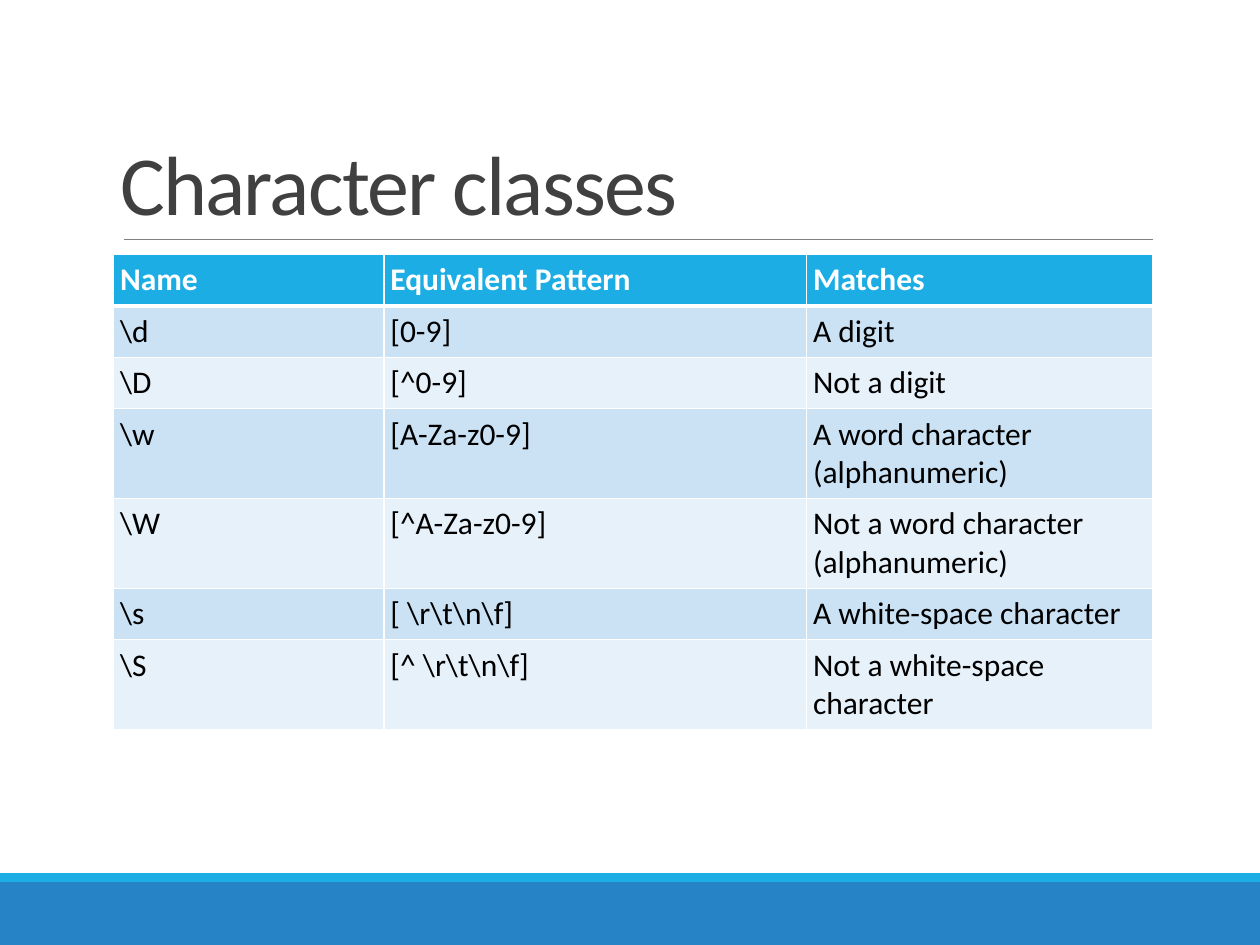
from lxml import etree
from pptx import Presentation
from pptx.dml.color import RGBColor
from pptx.enum.shapes import MSO_CONNECTOR, MSO_SHAPE
from pptx.enum.text import MSO_ANCHOR, MSO_AUTO_SIZE, PP_ALIGN
from pptx.oxml.ns import qn
from pptx.util import Cm, Pt

RECTANGLE = MSO_SHAPE.RECTANGLE
STRAIGHT = MSO_CONNECTOR.STRAIGHT
BOTTOM = MSO_ANCHOR.BOTTOM
LEFT = PP_ALIGN.LEFT
NO_AUTOFIT = MSO_AUTO_SIZE.NONE
TITLE_ONLY = 5

TITLE = "Character classes"
ROWS = [
    ("Name", "Equivalent Pattern", "Matches"),
    (r"\d", "[0-9]", "A digit"),
    (r"\D", "[^0-9]", "Not a digit"),
    (r"\w", "[A-Za-z0-9]", "A word character (alphanumeric)"),
    (r"\W", "[^A-Za-z0-9]", "Not a word character (alphanumeric)"),
    (r"\s", r"[ \r\t\n\f]", "A white-space character"),
    (r"\S", r"[^ \r\t\n\f]", "Not a white-space character"),
]
COLUMN_WIDTHS = (5.45, 8.52, 6.98)
ROW_HEIGHT = 1.03
SLIDE_WIDTH, SLIDE_HEIGHT = 25.4, 19.05
CONTENT_LEFT, CONTENT_WIDTH = 2.29, 20.95
TABLE_TOP = 5.13
RULE_TOP = 4.83
INSET = Cm(0.13)
FONT = "Calibri"
COLORS = {
    "header": "1CADE4", "footer": "2683C6", "rule": "808080",
    "title": "404040", "text": "000000", "white": "FFFFFF",
    "odd": "CBE2F5", "even": "E7F1FA",
}
FOOTER_BANDS = [("footer", 17.78, 1.27), ("header", 17.6, 0.18)]


def color(name):
    """Return the named colour."""
    return RGBColor.from_string(COLORS[name])


def style_font(paragraph, size, color_name, bold=False):
    """Set the font of a whole paragraph."""
    font = paragraph.font
    font.name, font.size, font.bold = FONT, Pt(size), bold
    font.color.rgb = color(color_name)


def set_insets(target):
    """Give a cell or text frame equal margins."""
    target.margin_left = target.margin_right = INSET
    target.margin_top = target.margin_bottom = INSET


def add_band(slide, color_name, top, height):
    """Add a full-width footer band."""
    band = slide.shapes.add_shape(
        RECTANGLE, 0, Cm(top), Cm(SLIDE_WIDTH), Cm(height))
    band.shadow.inherit = False
    band.fill.solid()
    band.fill.fore_color.rgb = color(color_name)
    band.line.fill.background()


def add_rule(slide):
    """Add the thin line below the title."""
    rule = slide.shapes.add_connector(
        STRAIGHT, Cm(2.49), Cm(RULE_TOP),
        Cm(CONTENT_LEFT + CONTENT_WIDTH), Cm(RULE_TOP))
    rule.line.color.rgb = color("rule")
    rule.line.width = Pt(0.5)
    etree.SubElement(rule._element.spPr, qn("a:effectLst"))


def format_title(slide):
    """Place and fill the title placeholder."""
    title = slide.shapes.title
    title.left, title.top = Cm(CONTENT_LEFT), Cm(0.79)
    title.width, title.height = Cm(CONTENT_WIDTH), Cm(4.04)
    frame = title.text_frame
    frame.text = TITLE
    frame.word_wrap = True
    frame.auto_size = NO_AUTOFIT
    frame.vertical_anchor = BOTTOM
    set_insets(frame)
    paragraph = frame.paragraphs[0]
    paragraph.alignment = LEFT
    paragraph.line_spacing = 0.85
    style_font(paragraph, 48, "title")
    paragraph.runs[0].font._element.set("spc", "-100")


def add_borders(cell, row_index):
    """Draw white cell borders, thicker below the header."""
    widths = {"L": 1, "R": 1,
              "T": 3 if row_index == 1 else 1,
              "B": 3 if row_index == 0 else 1}
    properties = cell._tc.get_or_add_tcPr()
    for side, width in widths.items():
        line = etree.SubElement(properties, qn(f"a:ln{side}"), w=str(Pt(width)))
        fill = etree.SubElement(line, qn("a:solidFill"))
        etree.SubElement(fill, qn("a:srgbClr"), val=COLORS["white"])


def fill_cell(cell, text, row_index):
    """Write and style one table cell."""
    is_header = row_index == 0
    cell.text = text
    set_insets(cell)
    style_font(cell.text_frame.paragraphs[0], 18,
               "white" if is_header else "text", is_header)
    add_borders(cell, row_index)
    cell.fill.solid()
    band = "odd" if row_index % 2 else "even"
    cell.fill.fore_color.rgb = color("header" if is_header else band)


def add_class_table(slide):
    """Add the table of character classes."""
    table = slide.shapes.add_table(
        len(ROWS), len(COLUMN_WIDTHS), Cm(CONTENT_LEFT), Cm(TABLE_TOP),
        Cm(CONTENT_WIDTH), Cm(ROW_HEIGHT * len(ROWS))).table
    for column, width in zip(table.columns, COLUMN_WIDTHS):
        column.width = Cm(width)
    for row_index, texts in enumerate(ROWS):
        table.rows[row_index].height = Cm(ROW_HEIGHT)
        for column_index, text in enumerate(texts):
            fill_cell(table.cell(row_index, column_index), text, row_index)


presentation = Presentation()
presentation.slide_width = Cm(SLIDE_WIDTH)
presentation.slide_height = Cm(SLIDE_HEIGHT)
slide = presentation.slides.add_slide(presentation.slide_layouts[TITLE_ONLY])
for band in FOOTER_BANDS:
    add_band(slide, *band)
add_rule(slide)
format_title(slide)
add_class_table(slide)
presentation.save("out.pptx")
